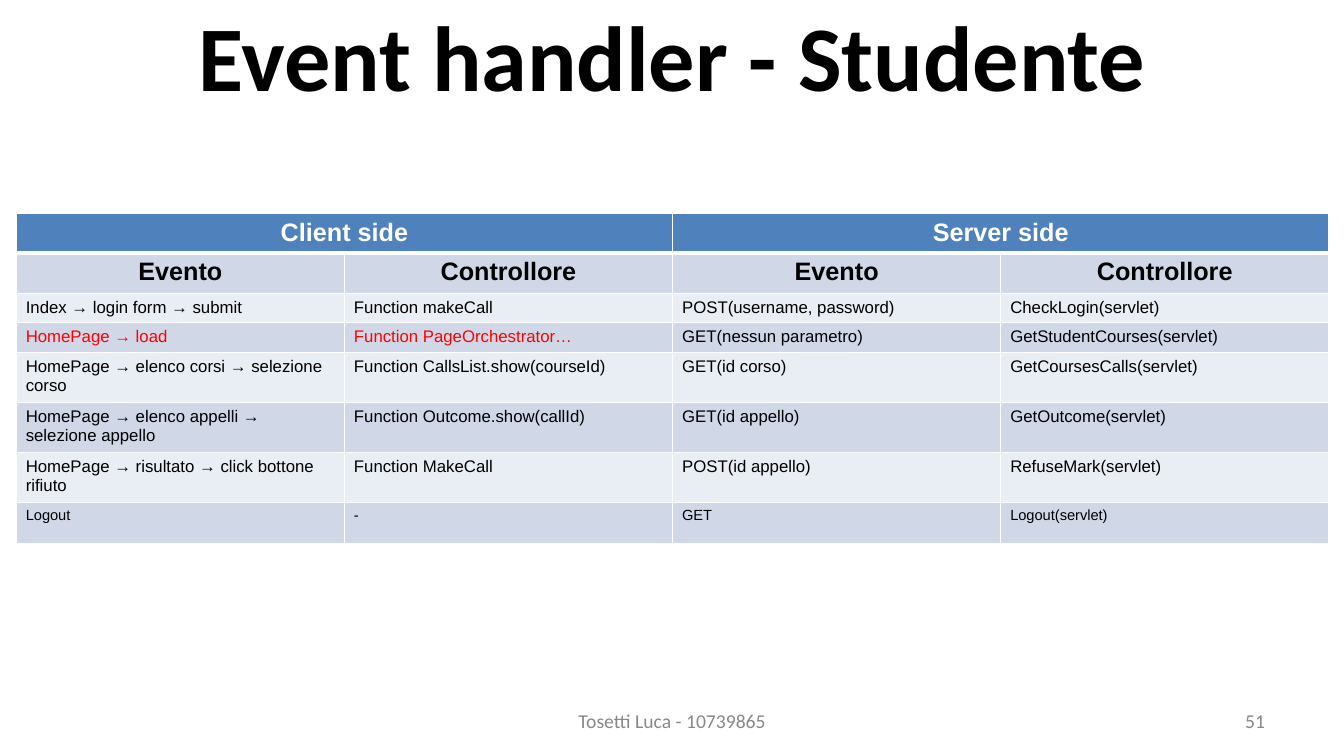
from dataclasses import dataclass

from lxml import etree
from pptx import Presentation
from pptx.dml.color import RGBColor
from pptx.enum.text import MSO_ANCHOR, MSO_AUTO_SIZE, PP_ALIGN
from pptx.oxml.ns import qn
from pptx.util import Cm, Pt

LEFT, CENTER, RIGHT = PP_ALIGN.LEFT, PP_ALIGN.CENTER, PP_ALIGN.RIGHT
MIDDLE = MSO_ANCHOR.MIDDLE
NO_AUTOFIT = MSO_AUTO_SIZE.NONE


@dataclass(frozen=True)
class Theme:
    black: str = "000000"
    white: str = "FFFFFF"
    red: str = "FF0000"
    gray: str = "888888"
    header: str = "4F81BD"
    dark_band: str = "D0D8E8"
    light_band: str = "E9EDF4"
    title_font: str = "Calibri"
    table_font: str = "Arial"
    title_size: float = 66
    heading_size: float = 18
    footer_size: float = 14
    body_size: float = 12
    small_size: float = 10.5


THEME = Theme()


def write(frame, text, *, font, size, color=THEME.black, bold=False, align=LEFT):
    paragraph = frame.paragraphs[0]
    paragraph.alignment = align
    run = paragraph.add_run()
    run.text = text
    run.font.name = font
    run.font.size = Pt(size)
    run.font.bold = bold
    run.font.color.rgb = RGBColor.from_string(color)


def add_borders(cell, **widths):
    """Draw white cell borders; widths in points are keyed by side: L, R, T, B."""
    properties = cell._tc.get_or_add_tcPr()
    for side, width in widths.items():
        line = etree.SubElement(properties, qn(f"a:ln{side}"), w=str(Pt(width)))
        fill = etree.SubElement(line, qn("a:solidFill"))
        etree.SubElement(fill, qn("a:srgbClr"), val=THEME.white)


presentation = Presentation()
presentation.slide_width = Cm(33.87)
presentation.slide_height = Cm(19.05)
slide = presentation.slides.add_slide(presentation.slide_layouts[5])

title = slide.shapes.title
title.left, title.top, title.width, title.height = Cm(1.17), Cm(0), Cm(31.55), Cm(2.74)
title.text_frame.auto_size = NO_AUTOFIT
title.text_frame.vertical_anchor = MIDDLE
write(title.text_frame, "Event handler - Studente", font=THEME.title_font,
      size=THEME.title_size, bold=True, align=CENTER)

# Footer: author and page number
for text, left, width, align in [
    ("Tosetti Luca - 10739865", 11.58, 10.72, CENTER),
    ("51", 24.28, 7.9, RIGHT),
]:
    footer = slide.shapes.add_textbox(Cm(left), Cm(17.65), Cm(width), Cm(1.02)).text_frame
    footer.word_wrap = True
    footer.vertical_anchor = MIDDLE
    footer.margin_left = footer.margin_right = Cm(0.3)
    write(footer, text, font=THEME.title_font, size=THEME.footer_size,
          color=THEME.gray, align=align)

# Table of events and controllers
EVENTS = [
    ("Client side", "", "Server side", ""),
    ("Evento", "Controllore", "Evento", "Controllore"),
    ("Index → login form → submit", "Function makeCall",
     "POST(username, password)", "CheckLogin(servlet)"),
    ("HomePage → load", "Function PageOrchestrator…",
     "GET(nessun parametro)", "GetStudentCourses(servlet)"),
    ("HomePage → elenco corsi → selezione corso", "Function CallsList.show(courseId)",
     "GET(id corso)", "GetCoursesCalls(servlet)"),
    ("HomePage → elenco appelli → selezione appello", "Function Outcome.show(callId)",
     "GET(id appello)", "GetOutcome(servlet)"),
    ("HomePage → risultato → click bottone rifiuto", "Function MakeCall",
     "POST(id appello)", "RefuseMark(servlet)"),
    ("Logout", "-", "GET", "Logout(servlet)"),
]
ROW_HEIGHTS = [0.97, 0.97, 0.73, 0.73, 1.21, 1.21, 1.21, 1.05]
COLUMNS = len(EVENTS[0])
LAST_ROW = len(EVENTS) - 1
RED_CELLS = {(3, 0), (3, 1)}

table = slide.shapes.add_table(len(EVENTS), COLUMNS, Cm(0.41), Cm(5.38),
                               Cm(33.07), Cm(sum(ROW_HEIGHTS))).table
for column in table.columns:
    column.width = Cm(8.27)
for row, height in zip(table.rows, ROW_HEIGHTS):
    row.height = Cm(height)
for first in range(0, COLUMNS, 2):
    table.cell(0, first).merge(table.cell(0, first + 1))

for r, texts in enumerate(EVENTS):
    heading = r < 2
    band = THEME.header if r == 0 else THEME.dark_band if r % 2 else THEME.light_band
    size = (THEME.heading_size if heading
            else THEME.small_size if r == LAST_ROW else THEME.body_size)
    for c, text in enumerate(texts):
        cell = table.cell(r, c)
        cell.margin_left = cell.margin_right = Cm(0.24)
        cell.margin_top = cell.margin_bottom = Cm(0.12)
        add_borders(cell, L=1, R=1, T=3 if r == 1 else 1, B=3 if r == 0 else 1)
        cell.fill.solid()
        cell.fill.fore_color.rgb = RGBColor.from_string(band)
        if text:
            color = (THEME.white if r == 0
                     else THEME.red if (r, c) in RED_CELLS else THEME.black)
            write(cell.text_frame, text, font=THEME.table_font, size=size, color=color,
                  bold=heading, align=CENTER if heading else LEFT)

presentation.save("out.pptx")
